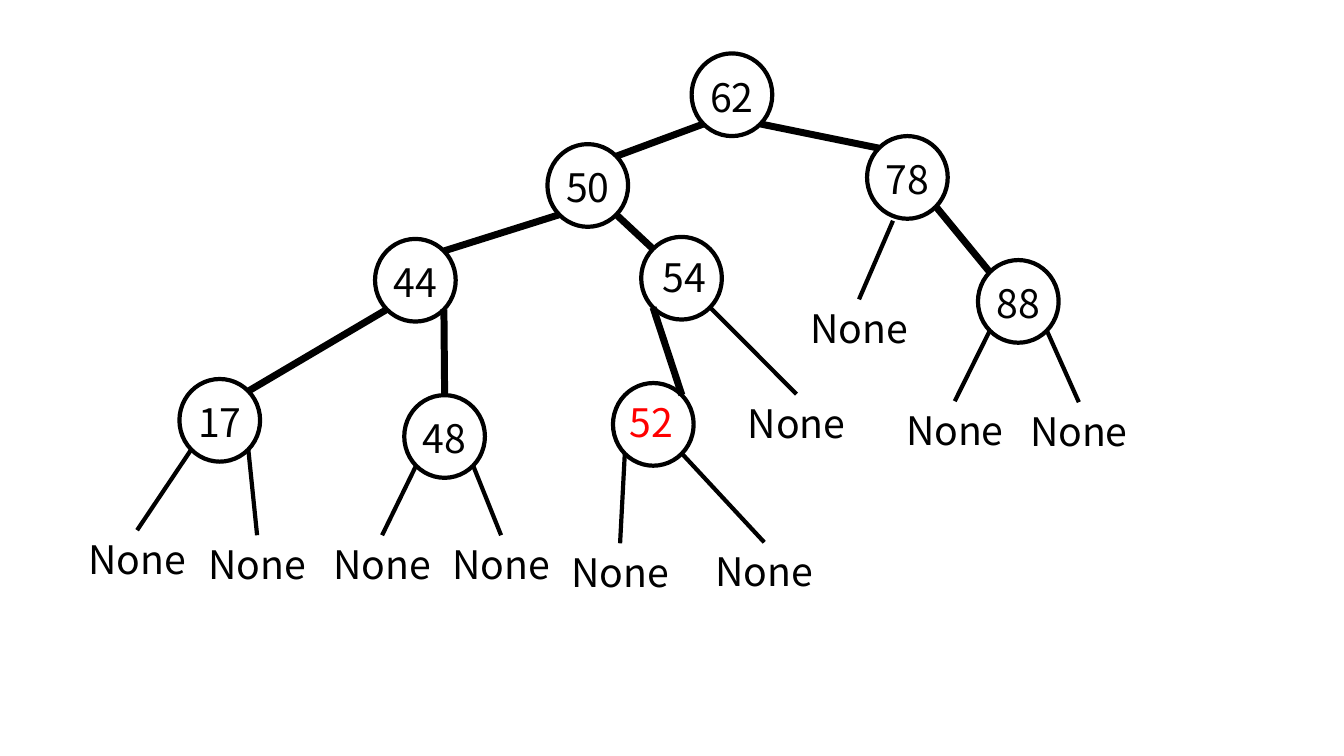
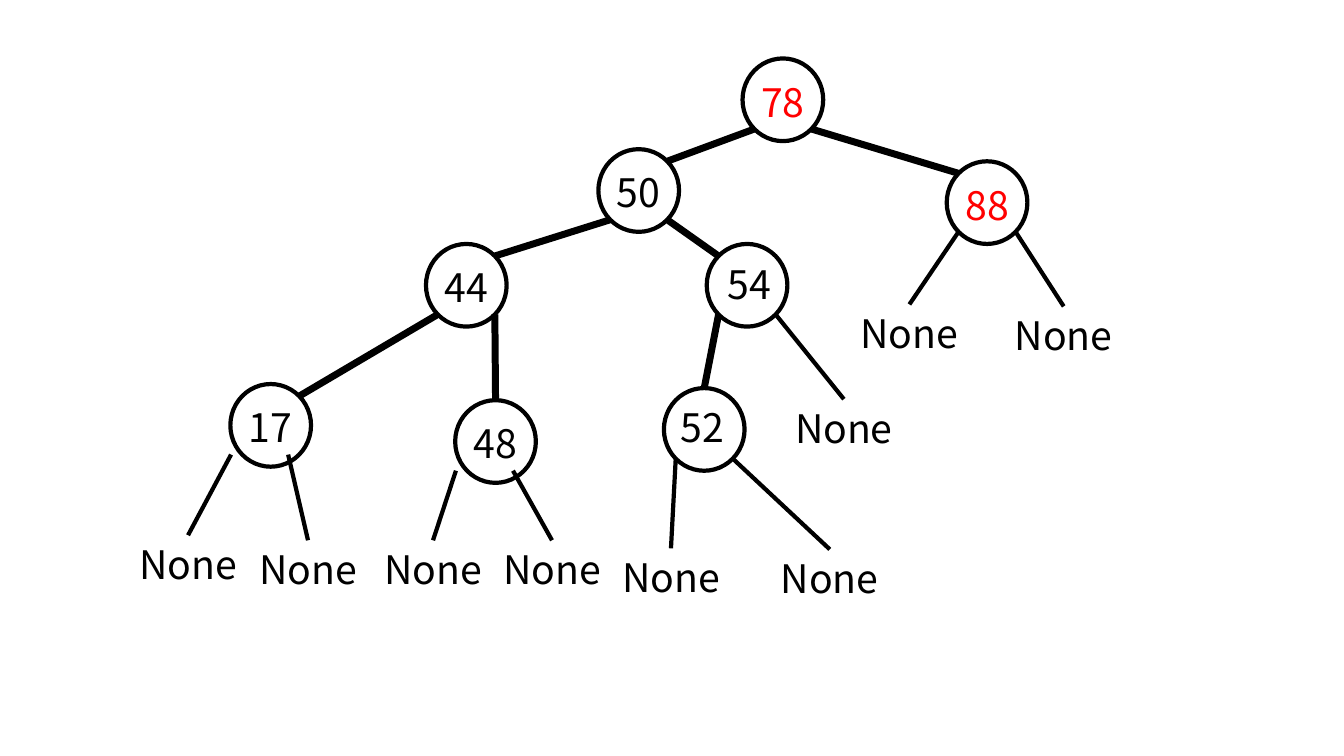
from lxml.etree import SubElement
from pptx import Presentation
from pptx.dml.color import RGBColor
from pptx.enum.shapes import MSO_CONNECTOR, MSO_SHAPE
from pptx.enum.text import MSO_ANCHOR, PP_ALIGN
from pptx.oxml.ns import qn
from pptx.util import Inches, Pt

LEFT, TOP, RIGHT = -1, 0, 1
BLACK, RED = "000000", "FF0000"

SHARED_NODES = {
    "50": (58.3, 18.4), "44": (41.2, 27.8), "17": (21.8, 41.7),
    "48": (44.1, 43.3), "52": (64.8, 42.1),
}
SHARED_BRANCHES = [
    ("50", LEFT, "44", RIGHT), ("50", RIGHT, "54", LEFT),
    ("44", LEFT, "17", RIGHT), ("44", RIGHT, "48", TOP),
]
SHARED_LEAVES = [
    ("17", LEFT, 13.6, 52.6), ("17", RIGHT, 25.5, 53.1),
    ("48", LEFT, 37.9, 53.1), ("48", RIGHT, 49.7, 53.1),
    ("52", LEFT, 61.5, 53.9),
]
TREES = [
    {
        "origin": (0, 0),
        "red": {"52"},
        "nodes": {"62": (72.6, 9.4), "78": (90, 17.6), "88": (101, 29.9),
                  "54": (67.6, 27.6)},
        "branches": [("62", LEFT, "50", RIGHT), ("62", RIGHT, "78", LEFT),
                     ("78", RIGHT, "88", LEFT), ("54", LEFT, "52", RIGHT)],
        "leaves": [("78", LEFT, 85.2, 29.7), ("54", RIGHT, 79, 39.1),
                   ("88", LEFT, 94.7, 39.8), ("88", RIGHT, 107, 39.9),
                   ("52", RIGHT, 75.8, 53.8)],
        "offsets": {"78": (1.4, 1.4)},
    },
    {
        "origin": (5.05, 0.5),
        "red": {"78", "88"},
        "nodes": {"78": (72.6, 9.4), "88": (92.85, 19.6), "54": (69.05, 27.8)},
        "branches": [("78", LEFT, "50", RIGHT), ("78", RIGHT, "88", LEFT),
                     ("54", LEFT, "52", TOP)],
        "leaves": [("88", LEFT, 85.15, 29.7), ("88", RIGHT, 100.45, 29.9),
                   ("54", RIGHT, 78.65, 39.1), ("52", RIGHT, 77.25, 54)],
        "offsets": {"17": (-1.1, 0), "48": (-1.1, 0)},
    },
]


def colour(value):
    """Turn a hex string into a colour."""
    return RGBColor.from_string(value)


class TreeDeck:
    """Draw binary trees on a grid of tenth-inch cells."""

    cell = Inches(0.1)
    node_size = (8, 8.2)
    corner = (2.83, 2.9)
    label_size = (9, 5)
    leaf_size = (12, 5)
    label_rise = 2.65
    nudges = {"54": (0.25, -0.35), "52": (-0.2, -0.45)}
    font = {"name": "Noto Sans CJK KR", "size": Pt(28)}
    frame = {"word_wrap": True, "margin_left": 0, "margin_right": 0,
             "vertical_anchor": MSO_ANCHOR.TOP}
    thin, thick = Pt(3), Pt(5)

    def __init__(self):
        """Open an empty widescreen deck."""
        self.deck = Presentation()
        self.deck.slide_width = Inches(13.33)
        self.deck.slide_height = Inches(7.5)

    def add_page(self, origin):
        """Start a page whose tree is shifted by the origin."""
        self.page = self.deck.slides.add_slide(self.deck.slide_layouts[6])
        self.origin = origin

    def place(self, column, row):
        """Turn a grid point into a slide position."""
        return [int((part + shift) * self.cell)
                for part, shift in zip((column, row), self.origin)]

    def area(self, column, row, size):
        """Give the rectangle that is centred on a column and starts at a row."""
        return self.place(column - size[0] / 2, row) + [int(part * self.cell) for part in size]

    def text(self, words, column, row, size, ink=BLACK):
        """Add centred text below a grid point."""
        box = self.page.shapes.add_textbox(*self.area(column, row, size))
        para = box.text_frame.paragraphs[0]
        para.alignment = PP_ALIGN.CENTER
        span = para.add_run()
        span.text = words
        for target, values in ((box.text_frame, self.frame), (span.font, self.font)):
            for name, value in values.items():
                setattr(target, name, value)
        span.font.color.rgb = colour(ink)
        return box

    def node(self, words, column, row, ink):
        """Add a circle with its number."""
        circle = self.page.shapes.add_shape(
            MSO_SHAPE.OVAL, *self.area(column, row - self.node_size[1] / 2, self.node_size))
        circle.shadow.inherit = False
        circle.fill.background()
        circle.line.color.rgb = colour(BLACK)
        circle.line.width = self.thin
        across, down = self.nudges.get(words, (0, 0))
        self.text(words, column + across, row - self.label_rise + down, self.label_size, ink)
        return circle

    def line(self, start, end, width, target=None):
        """Add a straight line, joined to the top of its target if there is one."""
        link = self.page.shapes.add_connector(
            MSO_CONNECTOR.STRAIGHT, *self.place(*start), *self.place(*end))
        if target is not None:
            link.end_connect(target, 0)
        link.line.color.rgb = colour(BLACK)
        link.line.width = width
        SubElement(link._element.spPr, qn("a:effectLst"))

    def edge_point(self, centre, side, direction):
        """Find the diagonal point of a circle, below (1) or above (-1) its centre."""
        return (centre[0] + side * self.corner[0], centre[1] + direction * self.corner[1])

    def tree(self, origin, red, nodes, branches, leaves, offsets):
        """Draw one tree with its nodes, branches and empty leaves."""
        self.add_page(origin)
        nodes = SHARED_NODES | nodes
        circles = {name: self.node(name, *centre, RED if name in red else BLACK)
                   for name, centre in nodes.items()}
        for parent, side, child, end_side in SHARED_BRANCHES + branches:
            self.line(self.edge_point(nodes[parent], side, 1),
                      self.edge_point(nodes[child], end_side, -1),
                      self.thick, circles[child] if end_side == TOP else None)
        for parent, side, column, row in SHARED_LEAVES + leaves:
            box = self.text("None", column, row, self.leaf_size)
            across, down = offsets.get(parent, (0, 0))
            x, y = self.edge_point(nodes[parent], side, 1)
            self.line((x + across, y + down), (column, row), self.thin, box)


def main():
    """Build and save the deck."""
    trees = TreeDeck()
    for tree in TREES:
        trees.tree(**tree)
    trees.deck.save("out.pptx")


if __name__ == "__main__":
    main()
